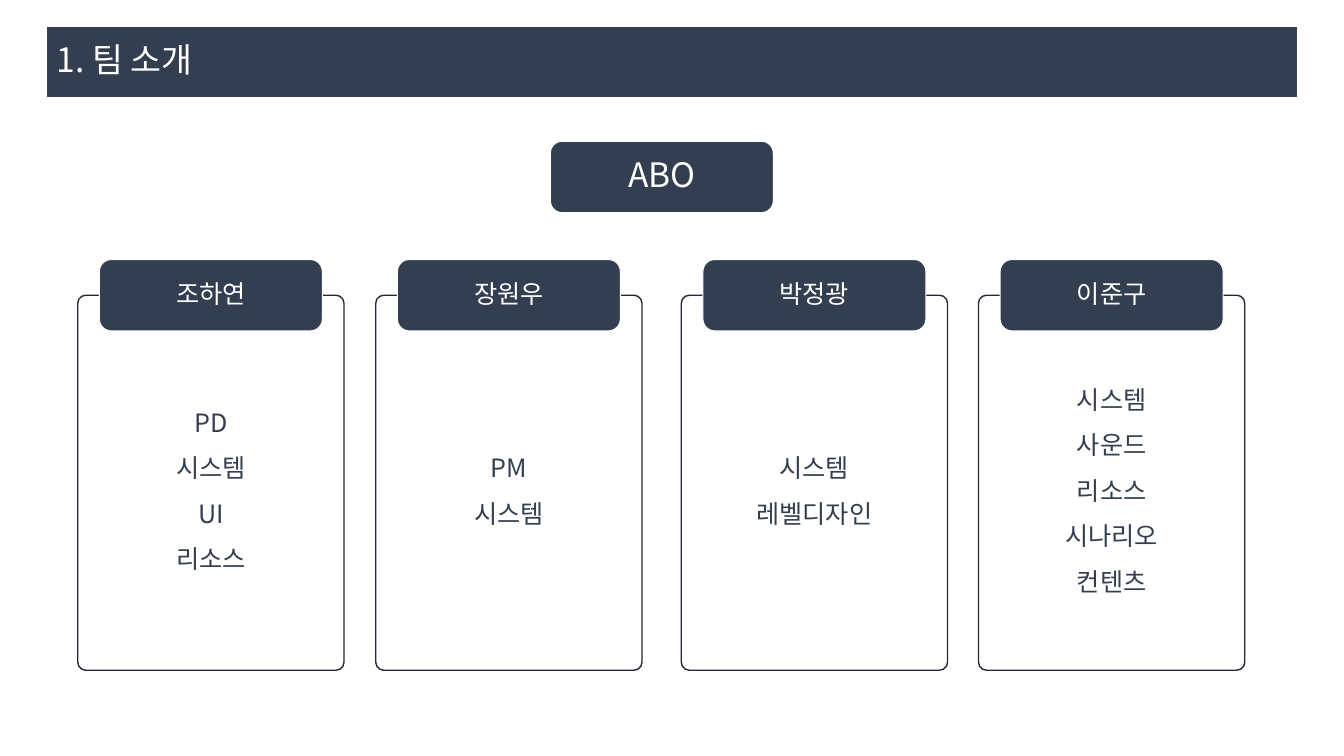
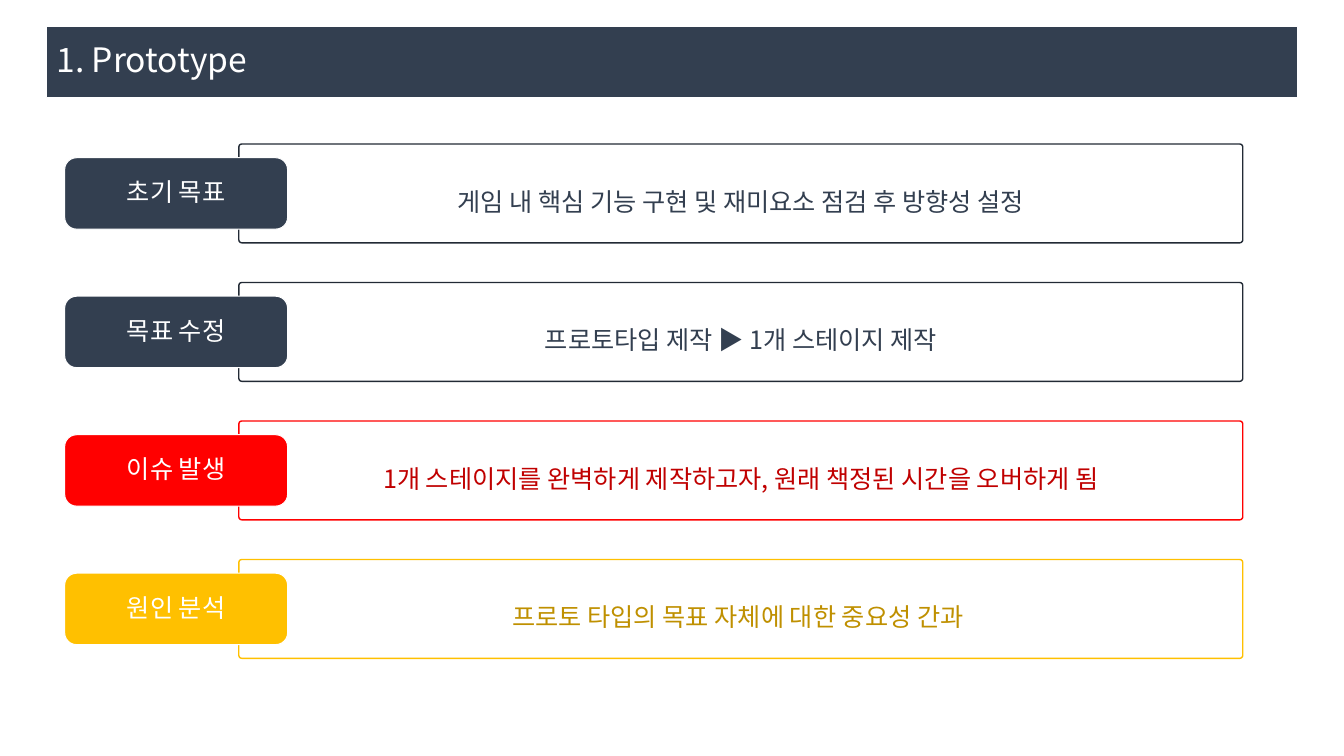
import dataclasses

import pptx
import pptx.dml.color
import pptx.enum.shapes
import pptx.enum.text
import pptx.oxml.ns
import pptx.util
from lxml import etree

Cm = pptx.util.Cm
ALIGN = pptx.enum.text.PP_ALIGN


@dataclasses.dataclass(frozen=True)
class Theme:
    font: str = "Noto Sans CJK KR"
    navy: str = "333F50"
    ink: str = "222A35"
    white: str = "FFFFFF"
    red: str = "FF0000"
    dark_red: str = "C00000"
    amber: str = "FFC000"
    dark_amber: str = "BF9000"
    heading_size: float = 24
    text_size: float = 18
    tight: float = 0.9
    loose: float = 1.5
    tag_line: float = 0.75
    frame_line: float = 1


THEME = Theme()
TAG_WIDTH, TAG_HEIGHT = 5.62, 1.8


def rgb(color):
    return pptx.dml.color.RGBColor.from_string(color)


# Text and outline helpers
def write_lines(box, lines, size, color, spacing, align=ALIGN.CENTER):
    frame = box.text_frame
    frame.word_wrap = True
    frame.auto_size = pptx.enum.text.MSO_AUTO_SIZE.NONE
    frame.vertical_anchor = pptx.enum.text.MSO_ANCHOR.MIDDLE
    for index, line in enumerate(lines):
        para = frame.add_paragraph() if index else frame.paragraphs[0]
        para.alignment = align
        para.line_spacing = spacing
        span = para.add_run()
        span.text = line
        span.font.size = pptx.util.Pt(size)
        span.font.name = THEME.font
        span.font.color.rgb = rgb(color)
        east_asian = etree.SubElement(span.font._element, pptx.oxml.ns.qn("a:ea"))
        east_asian.set("typeface", THEME.font)


def paint(box, fill, line, width):
    if fill:
        box.fill.solid()
        box.fill.fore_color.rgb = rgb(fill)
    else:
        box.fill.background()
    box.line.color.rgb = rgb(line)
    box.line.width = pptx.util.Pt(width)


# Elements
def add_page(deck, title):
    page = deck.slides.add_slide(deck.slide_layouts.get_by_name("Title Only"))
    band = page.shapes.title
    band.left, band.top, band.width, band.height = Cm(1.17), Cm(0.66), Cm(31.52), Cm(1.8)
    paint(band, THEME.navy, THEME.white, THEME.tag_line)
    write_lines(band, [title], THEME.heading_size, THEME.white, THEME.tight, ALIGN.LEFT)
    return page


def add_rounded(page, left, top, width, height):
    box = page.shapes.add_shape(
        pptx.enum.shapes.MSO_SHAPE.ROUNDED_RECTANGLE, Cm(left), Cm(top), Cm(width), Cm(height))
    box.shadow.inherit = False
    return box


def add_tag(page, left, top, label, fill=THEME.navy, size=THEME.text_size):
    tag = add_rounded(page, left, top, TAG_WIDTH, TAG_HEIGHT)
    paint(tag, fill, THEME.white, THEME.tag_line)
    write_lines(tag, [label], size, THEME.white, THEME.tight)


def add_frame(page, left, top, width, height, lines, outline=THEME.ink, color=THEME.navy):
    frame = add_rounded(page, left, top, width, height)
    frame.adjustments[0] = 0.03
    paint(frame, None, outline, THEME.frame_line)
    write_lines(frame, lines, THEME.text_size, color, THEME.loose)


# Slides
def build_team(deck):
    page = add_page(deck, "1. 팀 소개")
    add_tag(page, 13.87, 3.56, "ABO", size=THEME.heading_size)
    card_top, card_width, card_height = 7.44, 6.71, 9.45
    members = [
        (1.96, "조하연", ["PD", "시스템", "UI", "리소스"]),
        (9.47, "장원우", ["PM", "시스템"]),
        (17.17, "박정광", ["시스템", "레벨디자인"]),
        (24.66, "이준구", ["시스템", "사운드", "리소스", "시나리오", "컨텐츠"]),
    ]
    for left, name, roles in members:
        add_frame(page, left, card_top, card_width, card_height, roles)
        # The name tag straddles the middle of the card's top edge
        add_tag(page, left + (card_width - TAG_WIDTH) / 2, card_top - TAG_HEIGHT / 2, name)


def build_prototype(deck):
    page = add_page(deck, "1. Prototype")
    first_top, pitch, row_height = 3.63, 3.49, 2.49
    rows = [
        ("초기 목표", "게임 내 핵심 기능 구현 및 재미요소 점검 후 방향성 설정",
         THEME.navy, THEME.ink, THEME.navy),
        ("목표 수정", "프로토타입 제작 ▶ 1개 스테이지 제작",
         THEME.navy, THEME.ink, THEME.navy),
        ("이슈 발생", "1개 스테이지를 완벽하게 제작하고자, 원래 책정된 시간을 오버하게 됨",
         THEME.red, THEME.red, THEME.dark_red),
        ("원인 분석", "프로토 타입의 목표 자체에 대한 중요성 간과 ",
         THEME.amber, THEME.amber, THEME.dark_amber),
    ]
    for index, (label, text, fill, outline, color) in enumerate(rows):
        top = first_top + index * pitch
        add_frame(page, 6.02, top, 25.3, row_height, [text], outline, color)
        add_tag(page, 1.63, top + (row_height - TAG_HEIGHT) / 2, label, fill)


def main():
    deck = pptx.Presentation()
    deck.slide_width, deck.slide_height = Cm(33.87), Cm(19.05)
    build_team(deck)
    build_prototype(deck)
    deck.save("out.pptx")


if __name__ == "__main__":
    main()
